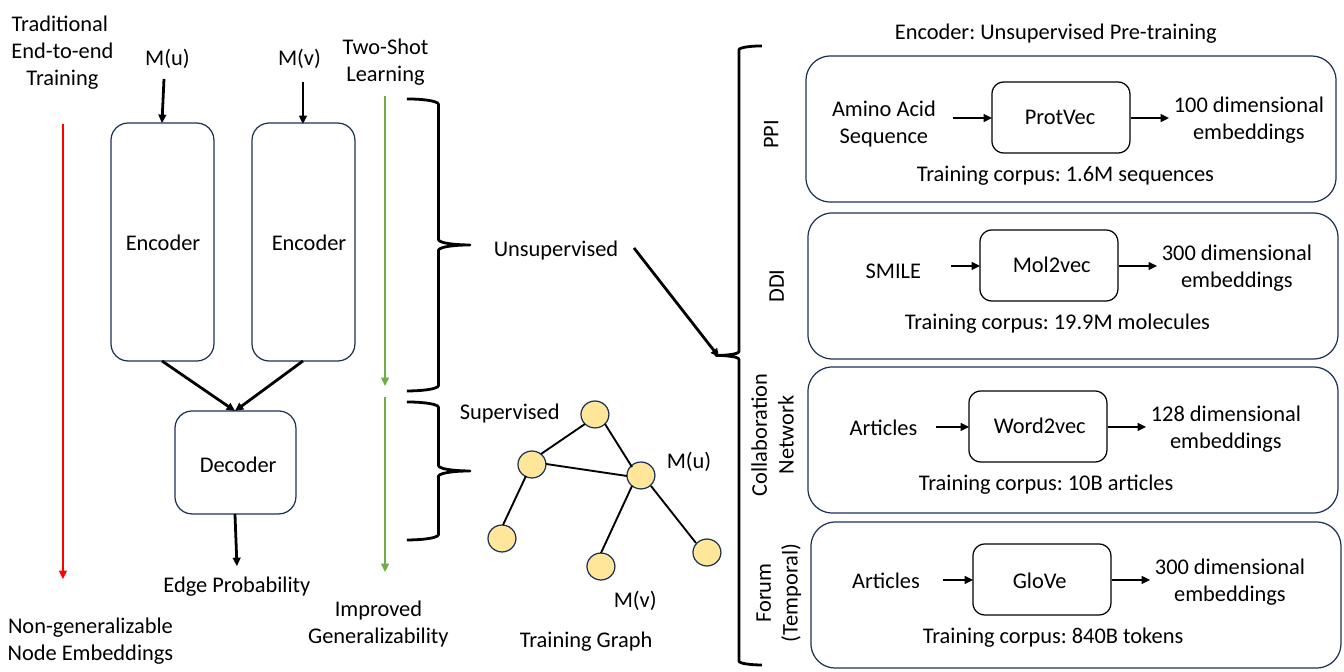
from pptx import Presentation
from pptx.dml.color import RGBColor
from pptx.enum.shapes import MSO_CONNECTOR, MSO_SHAPE
from pptx.enum.text import MSO_AUTO_SIZE, PP_ALIGN
from pptx.oxml.ns import qn
from pptx.util import Pt
from lxml.etree import SubElement

COLORS = {"black": "000000", "navy": "1E3256", "node": "FFE699",
          "red": "FF0000", "green": "70AD47"}


class Canvas:
    scale = 914400 / 89.6
    font = "Calibri"
    size = 18

    def __init__(self, prs):
        self.slide = prs.slides.add_slide(prs.slide_layouts[6])

    def emu(self, *pixels):
        return [round(n * self.scale) for n in pixels]

    def color(self, name):
        return RGBColor.from_string(COLORS[name])

    def shape(self, kind, x, y, w, h, line="navy", width=1, fill=None):
        sp = self.slide.shapes.add_shape(kind, *self.emu(x, y, w, h))
        sp.shadow.inherit = False
        if fill:
            sp.fill.solid()
            sp.fill.fore_color.rgb = self.color(fill)
        else:
            sp.fill.background()
        sp.line.color.rgb = self.color(line)
        sp.line.width = Pt(width)

    def box(self, x, y, w, h, line="navy"):
        self.shape(MSO_SHAPE.ROUNDED_RECTANGLE, x, y, w, h, line)

    def brace(self, kind, x, y, w, h):
        self.shape(kind, x, y, w, h, "black", 2.25)

    def text(self, text, x, y, w, h=36, center=False, rotation=0):
        sp = self.slide.shapes.add_textbox(*self.emu(x, y, w, h))
        sp.rotation = rotation
        tf = sp.text_frame
        tf.word_wrap = True
        tf.auto_size = MSO_AUTO_SIZE.SHAPE_TO_FIT_TEXT
        for i, line in enumerate(text.split("\n")):
            p = tf.add_paragraph() if i else tf.paragraphs[0]
            p.alignment = PP_ALIGN.CENTER if center else PP_ALIGN.LEFT
            r = p.add_run()
            r.text = line
            r.font.name = self.font
            r.font.size = Pt(self.size)
            r.font.color.rgb = self.color("black")

    def line(self, x1, y1, x2, y2, color="black", width=1.5, arrow=False):
        cx = self.slide.shapes.add_connector(
            MSO_CONNECTOR.STRAIGHT, *self.emu(x1, y1, x2, y2))
        cx.line.color.rgb = self.color(color)
        cx.line.width = Pt(width)
        if arrow:
            SubElement(cx.line._get_or_add_ln(), qn("a:tailEnd"), type="triangle")
        SubElement(cx._element.spPr, qn("a:effectLst"))

    def arrow(self, x1, y1, x2, y2, color="black"):
        self.line(x1, y1, x2, y2, color, 2.25, True)


def draw_training_paths(c):
    c.text("Traditional \nEnd-to-end Training", -35, 5, 195, 90, True)
    c.arrow(63, 124, 63, 579, "red")
    c.text("Non-generalizable Node Embeddings", -7, 607, 195, 64, True)
    c.text("Two-Shot Learning", 295, 28, 181, 64, True)
    for top, bottom in [(96, 386), (397, 572)]:
        c.arrow(385, top, 385, bottom, "green")
    c.text("Improved Generalizability", 281, 590, 195, 64, True)


def draw_model(c):
    encoders = [("M(u)", 70, 111, 117, (164, 79, 162, 123)),
                ("M(v)", 202, 252, 263, (303, 82, 303, 124))]
    for name, name_x, x, label_x, inlet in encoders:
        c.text(name, name_x, 39, 195, center=True)
        c.arrow(*inlet)
        c.box(x, 123, 103, 238)
        c.text("Encoder", label_x, 224, 115)
        c.arrow(x + 51, 361, 235, 411)
    c.box(175, 411, 121, 103)
    c.text("Decoder", 191, 446, 115)
    c.arrow(235, 514, 237, 566)
    c.text("Edge Probability", 134, 566, 206, center=True)


def draw_stages(c):
    for y, h in [(99, 292), (402, 138)]:
        c.brace(MSO_SHAPE.RIGHT_BRACE, 407, y, 63, h)
    c.text("Unsupervised", 485, 230, 150)
    c.text("Supervised", 451, 393, 150)
    c.arrow(634, 248, 719, 357)
    c.brace(MSO_SHAPE.LEFT_BRACE, 716, 46, 46, 619)


def draw_graph(c):
    nodes = [(518, 451), (627, 462), (488, 525),
             (587, 553), (693, 539), (581, 401)]
    edges = [(503, 525, 526, 476), (541, 454, 585, 424),
             (632, 467, 605, 424), (627, 476, 546, 464),
             (632, 486, 601, 553), (651, 486, 696, 543)]
    for x, y in nodes:
        c.shape(MSO_SHAPE.OVAL, x, y, 28, 27, fill="node")
    for edge in edges:
        c.line(*edge)
    c.text("M(u)", 658, 442, 115)
    c.text("M(v)", 605, 581, 115)
    c.text("Training Graph", 511, 621, 168)


def draw_panel(c, panel, side, source, model, size, corpus):
    c.box(*panel, 530, 146)
    side_text, *side_place = side
    c.text(side_text, *side_place, center=side_text != "PPI", rotation=270)
    source_text, *source_place = source
    c.text(source_text, *source_place, center=True)
    model_text, x, y, label_x, label_y = model
    c.arrow(source_place[0] + source_place[2], y + 36, x, y + 36)
    c.box(x, y, 138, 71, "black")
    c.text(model_text, label_x, label_y, 115)
    c.arrow(x + 139, y + 36, x + 177, y + 36)
    c.text(f"{size} dimensional embeddings", x + 152, y + 4, 210, 64, True)
    corpus_text, corpus_x = corpus
    c.text(f"Training corpus: {corpus_text}", corpus_x, y + 73, 367)


PANELS = [
    ((806, 56), ("PPI", 712, 82, 115, 36),
     ("Amino Acid Sequence", 815, 90, 138, 64),
     ("ProtVec", 992, 82, 1016, 98), 100, ("1.6M sequences", 908)),
    ((808, 213), ("DDI", 694, 268, 162, 36),
     ("SMILE", 836, 252, 115, 36),
     ("Mol2vec", 980, 230, 1004, 246), 300, ("19.9M molecules", 896)),
    ((808, 367), ("Collaboration Network", 701, 390, 168, 90),
     ("Articles", 831, 409, 105, 36),
     ("Word2vec", 969, 391, 985, 407), 128, ("10B articles", 910)),
    ((811, 522), ("Forum (Temporal)", 709, 561, 134, 64),
     ("Articles", 829, 562, 114, 36),
     ("GloVe", 973, 544, 1004, 562), 300, ("840B tokens", 914)),
]

prs = Presentation()
prs.slide_width, prs.slide_height = Canvas.emu(Canvas, 1344, 672)
c = Canvas(prs)
draw_graph(c)
draw_model(c)
draw_training_paths(c)
draw_stages(c)
c.text("Encoder: Unsupervised Pre-training", 886, 13, 354)
for panel in PANELS:
    draw_panel(c, *panel)
prs.save("out.pptx")
